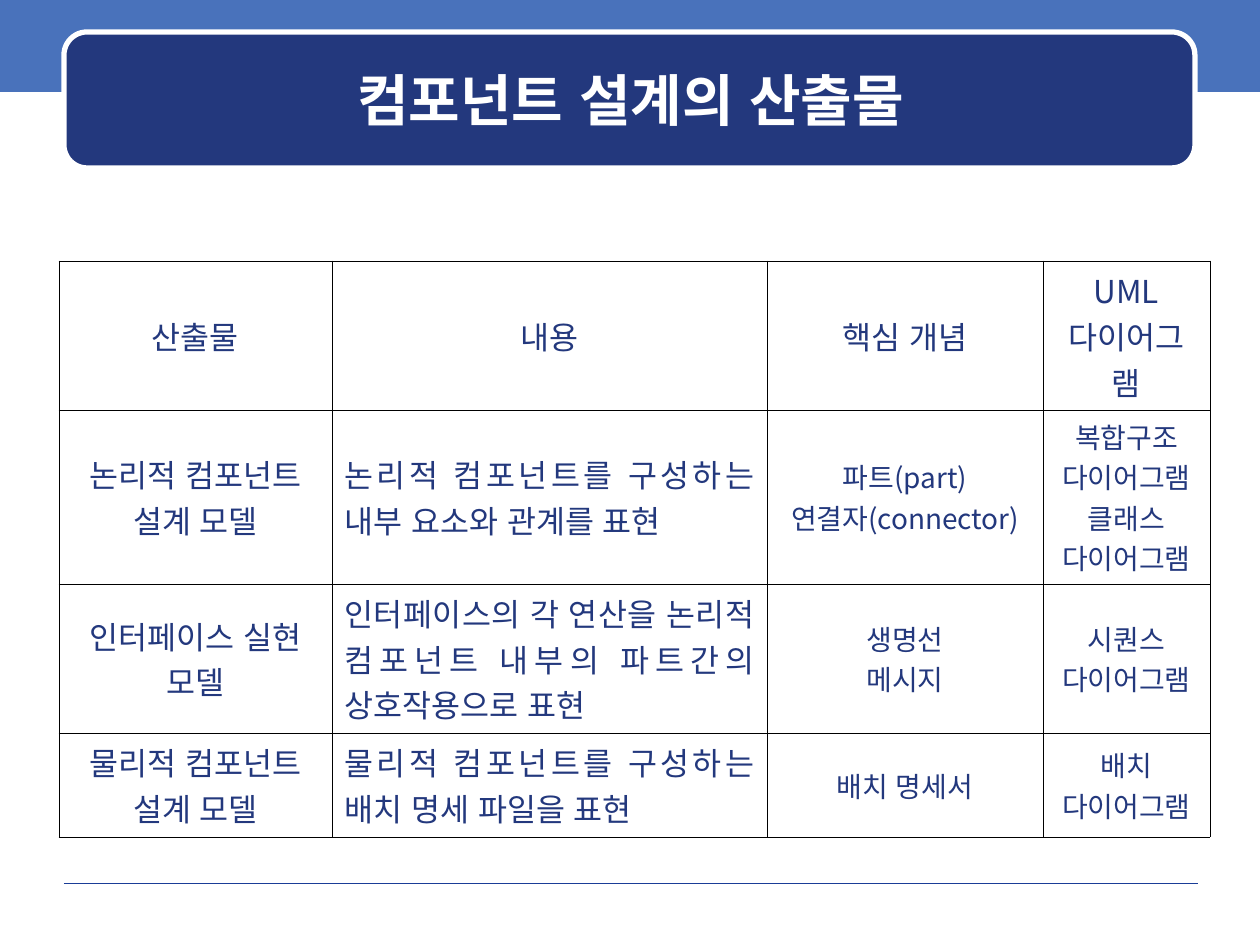
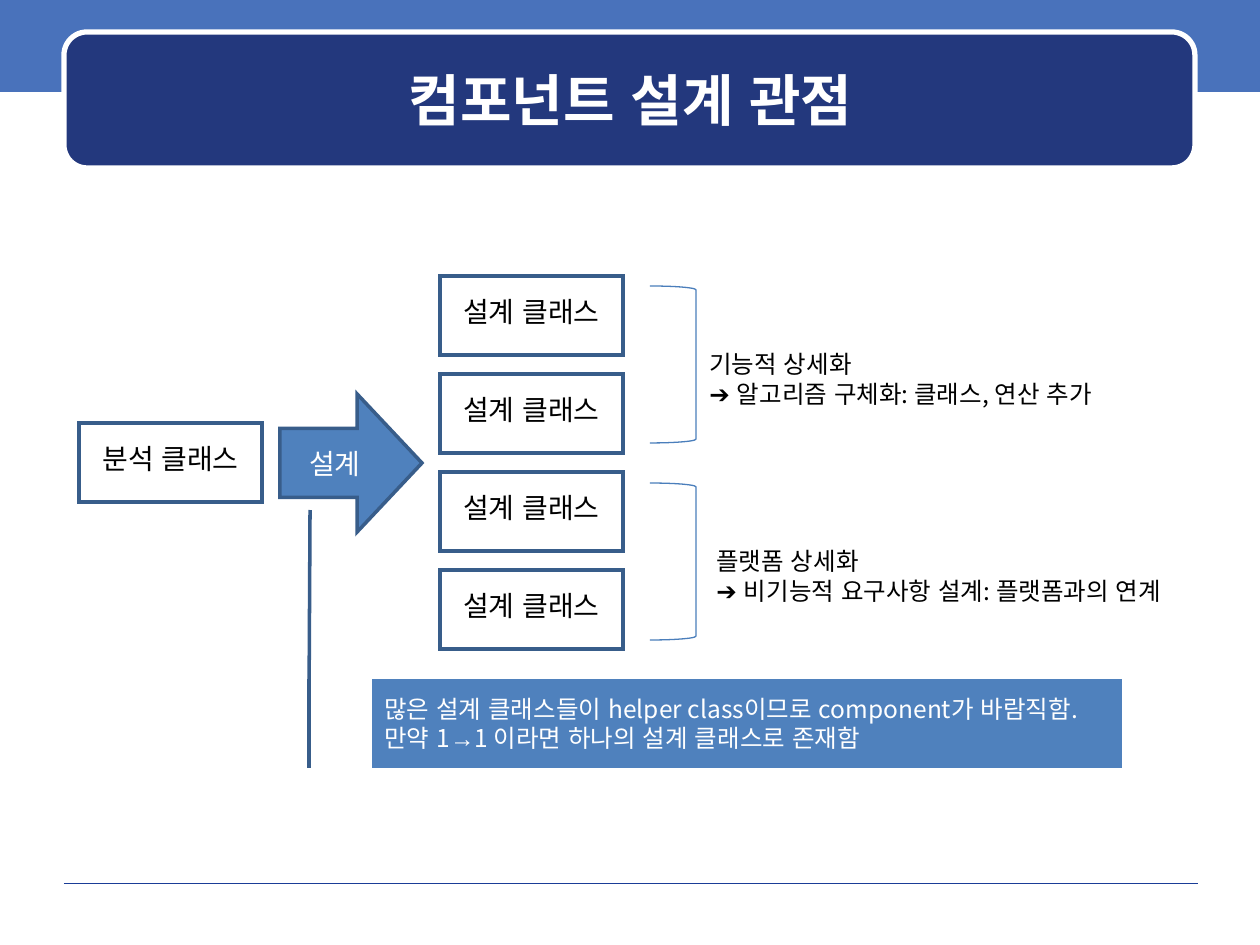
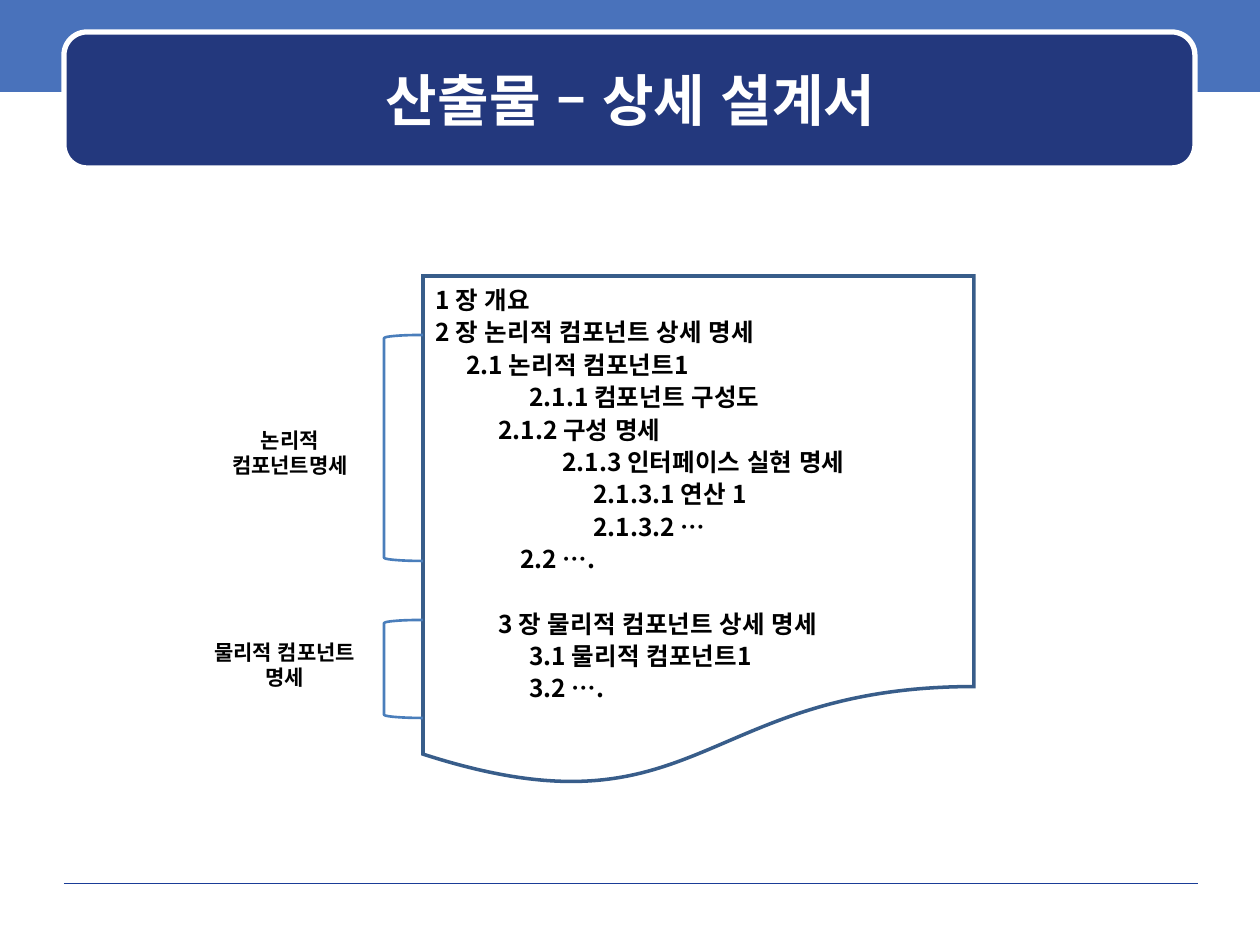
"""Build three slides on component design: deliverables, viewpoint and detailed design document."""
from itertools import groupby

from lxml import etree
from pptx import Presentation
from pptx.dml.color import RGBColor
from pptx.enum.lang import MSO_LANGUAGE_ID
from pptx.enum.shapes import MSO_CONNECTOR, MSO_SHAPE
from pptx.enum.text import MSO_ANCHOR, PP_ALIGN
from pptx.oxml.ns import qn
from pptx.util import Emu, Pt

FONT, SYMBOL_FONT, SYMBOLS = "Noto Sans CJK KR", "Arial", "➔→"
NAVY, BAND, RULE = "23387D", "4972BB", "1A3D97"
BLUE, OUTLINE, BRACKET = "4F81BD", "385D8A", "4A7EBB"
BLACK, WHITE = "000000", "FFFFFF"
LEFT, CENTER, JUSTIFY = PP_ALIGN.LEFT, PP_ALIGN.CENTER, PP_ALIGN.JUSTIFY
TOP, MIDDLE = MSO_ANCHOR.TOP, MSO_ANCHOR.MIDDLE
EMU_PER_PX = 914400 / 126

TABLE_TITLE = "컴포넌트 설계의 산출물"
TABLE_ORIGIN = (59, 261)
COLUMN_WIDTHS = [273, 435, 276, 167]
ROW_HEIGHTS = [149, 174, 149, 104]
TABLE_ROWS = [
    (["산출물"], ["내용"], ["핵심 개념"], ["UML", "다이어그램"]),
    (["논리적 컴포넌트", "설계 모델"],
     ["논리적 컴포넌트를 구성하는 내부 요소와 관계를 표현"],
     ["파트(part)", "연결자(connector)"],
     ["복합구조", "다이어그램", "클래스", "다이어그램"]),
    (["인터페이스 실현 모델"],
     ["인터페이스의 각 연산을 논리적 컴포넌트 내부의 파트간의 상호작용으로 표현"],
     ["생명선", "메시지"], ["시퀀스", "다이어그램"]),
    (["물리적 컴포넌트", "설계 모델"],
     ["물리적 컴포넌트를 구성하는 배치 명세 파일을 표현"],
     ["배치 명세서"], ["배치", "다이어그램"]),
]

VIEW_TITLE = "컴포넌트 설계 관점"
CLASS_SIZE = (183, 79)
ANALYSIS_CLASS = ("분석 클래스", 79, 423)
DESIGN_CLASS = ("설계 클래스", 440, 276)
DESIGN_COUNT, DESIGN_PITCH = 4, 98
DESIGN_ARROW = ("설계", (280, 394, 142, 138))
REFINEMENTS = [
    ((650, 286, 46, 157), (697, 343, 436, 72),
     ["기능적 상세화", "➔ 알고리즘 구체화: 클래스, 연산 추가"]),
    ((650, 483, 46, 157), (704, 540, 486, 72),
     ["플랫폼 상세화", "➔ 비기능적 요구사항 설계: 플랫폼과의 연계"]),
]
CALLOUT_BOX = (372, 679, 750, 89)
LEADER_POINTS = [(309, 696), (310, 510)]
CALLOUT_LINES = ["많은 설계 클래스들이 helper class이므로 component가 바람직함.",
                 "만약 1→1 이라면 하나의 설계 클래스로 존재함"]

DOCUMENT_TITLE = "산출물 – 상세 설계서"
DOCUMENT_BOX = (423, 276, 551, 512)
CHAPTER_GAP = {"3 장 물리적 컴포넌트 상세 명세": 18.5}
OUTLINE_LINES = [
    (0, "1 장 개요"),
    (0, "2 장 논리적 컴포넌트 상세 명세"),
    (31, "2.1 논리적 컴포넌트1"),
    (94, "2.1.1 컴포넌트 구성도"),
    (63, "2.1.2 구성 명세"),
    (127, "2.1.3 인터페이스 실현 명세"),
    (158, "2.1.3.1 연산 1"),
    (158, "2.1.3.2 …"),
    (85, "2.2 …."),
    (63, "3 장 물리적 컴포넌트 상세 명세"),
    (94, "3.1 물리적 컴포넌트1"),
    (94, "3.2 …."),
]
SPECIFICATIONS = [
    ((384, 335, 39, 226), (197, 413, 186, 79), "논리적 컴포넌트명세"),
    ((384, 620, 39, 98), (186, 630, 197, 69), "물리적 컴포넌트 명세"),
]


def px(length):
    return Emu(round(length * EMU_PER_PX))


def color(value):
    return RGBColor.from_string(value)


def write(text_frame, lines, size, ink=BLACK, bold=False, align=LEFT, spacing=None):
    text_frame.text = "\n".join(lines)
    for paragraph, line in zip(text_frame.paragraphs, lines):
        paragraph.alignment = align
        paragraph.line_spacing = spacing
        pieces = [(key, "".join(chars)) for key, chars in groupby(line, lambda char: char in SYMBOLS)]
        paragraph.runs[0].text = pieces[0][1]
        for _, piece in pieces[1:]:
            paragraph.add_run().text = piece
        for run, (is_symbol, _) in zip(paragraph.runs, pieces):
            font = run.font
            font.size, font.bold, font.color.rgb = Pt(size), bold, color(ink)
            font.language_id = MSO_LANGUAGE_ID.KOREAN
            font.name = SYMBOL_FONT if is_symbol else FONT
            latin = run._r.rPr.find(qn("a:latin"))
            east_asian = etree.Element(qn("a:ea"), typeface=font.name)
            latin.addnext(east_asian)


def add_shape(slide, kind, box, fill=None, line=None, width=2, adjustments=()):
    shape = slide.shapes.add_shape(kind, *map(px, box))
    shape.shadow.inherit = False
    for index, value in enumerate(adjustments):
        shape.adjustments[index] = value
    if fill:
        shape.fill.solid()
        shape.fill.fore_color.rgb = color(fill)
    else:
        shape.fill.background()
    if line:
        shape.line.color.rgb, shape.line.width = color(line), Pt(width)
        if line == OUTLINE:
            etree.SubElement(shape.line._get_or_add_ln(), qn("a:miter"), lim="800000")
    else:
        shape.line.fill.background()
    shape.text_frame.vertical_anchor = MIDDLE
    return shape


def add_text(slide, box, lines, size, anchor=TOP, **style):
    text_frame = slide.shapes.add_textbox(*map(px, box)).text_frame
    text_frame.word_wrap = True
    text_frame.vertical_anchor = anchor
    write(text_frame, lines, size, **style)


def add_titled_slide(presentation, title):
    slide = presentation.slides.add_slide(presentation.slide_layouts[6])
    add_shape(slide, MSO_SHAPE.RECTANGLE, (0, -4, 1260, 96), BAND)
    rule = slide.shapes.add_connector(MSO_CONNECTOR.STRAIGHT, px(64), px(883), px(1198), px(883))
    rule.line.color.rgb, rule.line.width = color(RULE), Pt(0.1)
    etree.SubElement(rule._element.spPr, qn("a:effectLst"))
    add_shape(slide, MSO_SHAPE.ROUNDED_RECTANGLE, (64, 32, 1131, 136), NAVY, WHITE, 3, [0.17])
    add_text(slide, (76, 44, 1110, 111), [title], 32, MIDDLE, ink=WHITE, bold=True, align=CENTER)
    return slide


def add_borders(cell):
    properties = cell._tc.get_or_add_tcPr()
    for side in ("lnL", "lnR", "lnT", "lnB"):
        border = etree.SubElement(properties, qn(f"a:{side}"), w=str(Pt(0.45)))
        fill = etree.SubElement(border, qn("a:solidFill"))
        etree.SubElement(fill, qn("a:srgbClr"), val=BLACK)


def build_table_slide(presentation):
    slide = add_titled_slide(presentation, TABLE_TITLE)
    size = (sum(COLUMN_WIDTHS), sum(ROW_HEIGHTS))
    table = slide.shapes.add_table(len(ROW_HEIGHTS), len(COLUMN_WIDTHS),
                                   *map(px, TABLE_ORIGIN + size)).table
    table.first_row = table.horz_banding = False
    for column, width in zip(table.columns, COLUMN_WIDTHS):
        column.width = px(width)
    for row_index, (row, height) in enumerate(zip(TABLE_ROWS, ROW_HEIGHTS)):
        table.rows[row_index].height = px(height)
        for column_index, lines in enumerate(row):
            cell = table.cell(row_index, column_index)
            add_borders(cell)
            cell.fill.background()
            cell.vertical_anchor = MIDDLE
            write(cell.text_frame, lines, 16 if row_index and column_index > 1 else 18, NAVY,
                  align=JUSTIFY if row_index and column_index == 1 else CENTER)


def build_view_slide(presentation):
    slide = add_titled_slide(presentation, VIEW_TITLE)
    label, left, top = DESIGN_CLASS
    design_classes = [(label, left, top + index * DESIGN_PITCH) for index in range(DESIGN_COUNT)]
    for name, left, top in [ANALYSIS_CLASS] + design_classes:
        class_box = add_shape(slide, MSO_SHAPE.RECTANGLE, (left, top) + CLASS_SIZE, line=OUTLINE)
        write(class_box.text_frame, [name], 16, align=CENTER, spacing=0.7)
    label, box = DESIGN_ARROW
    arrow = add_shape(slide, MSO_SHAPE.RIGHT_ARROW, box, BLUE, OUTLINE, adjustments=(0.5, 0.47))
    write(arrow.text_frame, [label], 16, WHITE, align=CENTER)
    for bracket_box, text_box, lines in REFINEMENTS:
        add_shape(slide, MSO_SHAPE.RIGHT_BRACKET, bracket_box, line=BRACKET, width=0.75)
        add_text(slide, text_box, lines, 14)
    left, top, width, height = CALLOUT_BOX
    leader = [ratio for x, y in LEADER_POINTS for ratio in ((y - top) / height, (x - left) / width)]
    callout = add_shape(slide, MSO_SHAPE.LINE_CALLOUT_1_ACCENT_BAR, CALLOUT_BOX, BLUE, OUTLINE,
                        adjustments=leader)
    write(callout.text_frame, CALLOUT_LINES, 14, WHITE)


def build_document_slide(presentation):
    slide = add_titled_slide(presentation, DOCUMENT_TITLE)
    document = add_shape(slide, MSO_SHAPE.FLOWCHART_DOCUMENT, DOCUMENT_BOX, line=OUTLINE)
    document.text_frame.vertical_anchor = TOP
    write(document.text_frame, [line for _, line in OUTLINE_LINES], 14, bold=True, spacing=1.1)
    for paragraph, (indent, line) in zip(document.text_frame.paragraphs, OUTLINE_LINES):
        paragraph._p.get_or_add_pPr().set("marL", str(px(indent)))
        if line in CHAPTER_GAP:
            paragraph.space_before = Pt(CHAPTER_GAP[line])
    for bracket_box, text_box, label in SPECIFICATIONS:
        add_shape(slide, MSO_SHAPE.LEFT_BRACKET, bracket_box, line=BRACKET, width=1.5)
        add_text(slide, text_box, [label], 12, MIDDLE, bold=True, align=CENTER)


def main():
    presentation = Presentation()
    presentation.slide_width, presentation.slide_height = px(1260), px(945)
    build_table_slide(presentation)
    build_view_slide(presentation)
    build_document_slide(presentation)
    presentation.save("out.pptx")


if __name__ == "__main__":
    main()
